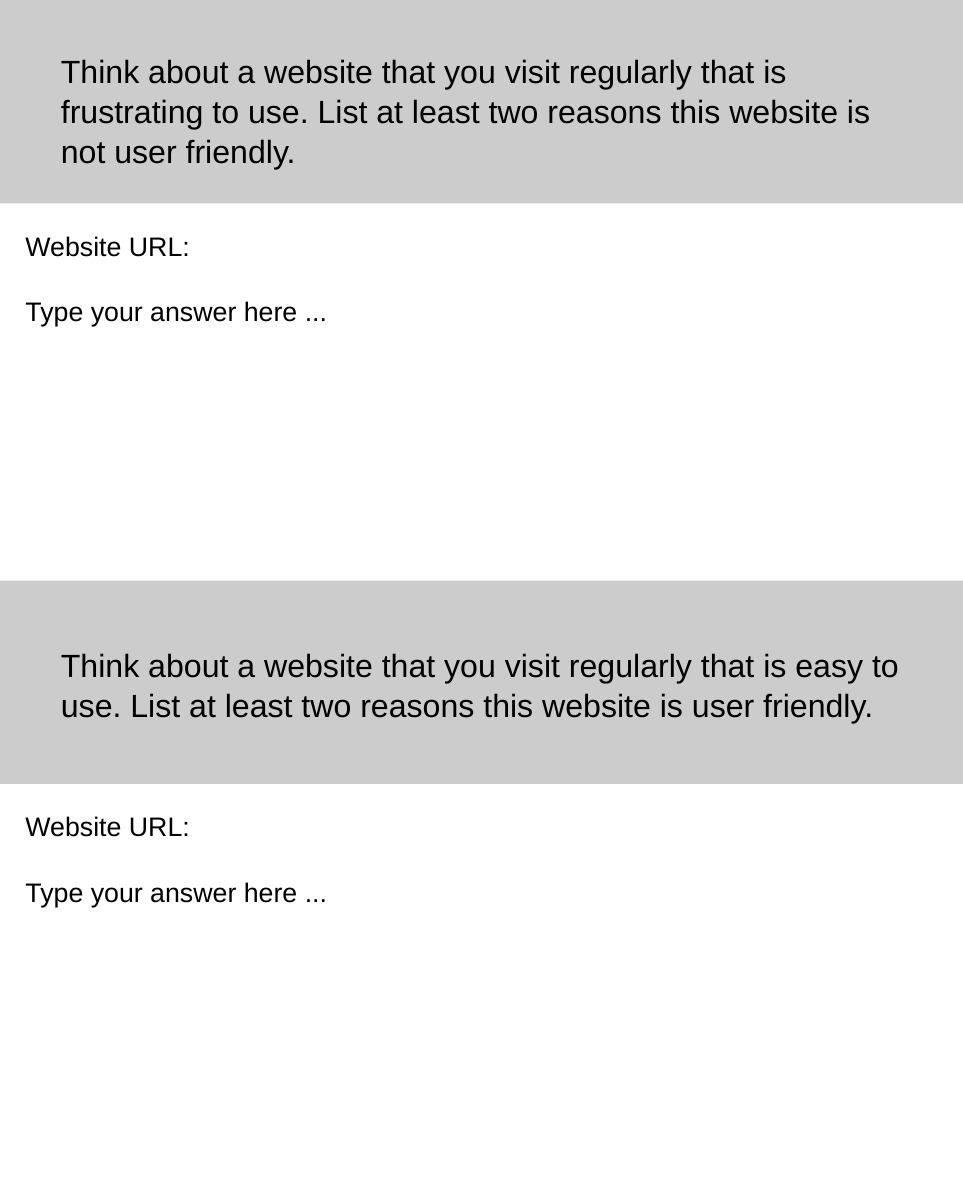
import pptx
import pptx.util
import pptx.dml.color
import pptx.enum.shapes
import pptx.enum.text
from dataclasses import dataclass
from lxml import etree

PX = 9525  # EMU in one px, 96 px to the inch
SLIDE_W, SLIDE_H = 1440, 1800
BAND_H = 304
SECTION_STEP = 868
ANSWER_OFFSET = 331
COMPARISON_LAYOUT = 4


@dataclass(frozen=True)
class Theme:
    font: str = "Arial"
    text: str = "000000"
    band: str = "CCCCCC"
    prompt_size: int = 36
    answer_size: int = 30
    answer_gap: int = 36
    line_spacing: float = 1.04
    inset: int = 10


THEME = Theme()

ANSWER = ["Website URL:", "Type your answer here ..."]

# Prompt, its offset and height in the section, and the placeholders used
SECTIONS = [
    ("Think about a website that you visit regularly that is frustrating to use. "
     "List at least two reasons this website is not user friendly.", 65, 239, 0, 2),
    ("Think about a website that you visit regularly that is easy to use. "
     "List at least two reasons this website is user friendly.", 85, 220, 3, 4),
]


def px(n):
    return pptx.util.Emu(n * PX)


def color(value):
    return pptx.dml.color.RGBColor.from_string(value)


def set_all(obj, values):
    for name, value in values.items():
        setattr(obj, name, value)


def place(sp, left, top, width, height):
    set_all(sp, {"left": px(left), "top": px(top),
                 "width": px(width), "height": px(height)})


def add_band(s, top):
    """Full-width band behind the placeholders."""
    sp = s.shapes.add_shape(pptx.enum.shapes.MSO_SHAPE.RECTANGLE,
                            0, px(top), px(SLIDE_W), px(BAND_H))
    sp.shadow.inherit = False
    sp.fill.solid()
    sp.fill.fore_color.rgb = color(THEME.band)
    sp.line.fill.background()
    s.shapes.title._element.addprevious(sp._element)


def remove_bullet(p):
    ppr = p._p.get_or_add_pPr()
    ppr.set("marL", "0")
    ppr.set("indent", "0")
    etree.SubElement(ppr, pptx.oxml.ns.qn("a:buNone"))


def fill_text(sp, lines, size, gap=0):
    """Write plain, left-aligned paragraphs from the top of a placeholder."""
    tf = sp.text_frame
    tf.text = "\n".join(lines)
    inset = px(THEME.inset)
    set_all(tf, {"word_wrap": True,
                 "auto_size": pptx.enum.text.MSO_AUTO_SIZE.NONE,
                 "vertical_anchor": pptx.enum.text.MSO_ANCHOR.TOP,
                 "margin_left": inset, "margin_right": inset,
                 "margin_top": inset, "margin_bottom": inset})
    for i, p in enumerate(tf.paragraphs):
        remove_bullet(p)
        set_all(p, {"alignment": pptx.enum.text.PP_ALIGN.LEFT,
                    "line_spacing": THEME.line_spacing,
                    "space_before": pptx.util.Pt(gap if i else 0),
                    "space_after": pptx.util.Pt(0)})
        for r in p.runs:
            set_all(r.font, {"name": THEME.font, "bold": False,
                             "size": pptx.util.Pt(size)})
            r.font.color.rgb = color(THEME.text)


def add_section(s, holders, top, section):
    prompt, offset, height, prompt_idx, answer_idx = section
    add_band(s, top)
    # Prompt on the band
    sp = holders[prompt_idx]
    place(sp, 81, top + offset, 1288, height)
    fill_text(sp, [prompt], THEME.prompt_size)
    # Answer area below it
    sp = holders[answer_idx]
    place(sp, 28, top + ANSWER_OFFSET, 1375, 528)
    fill_text(sp, ANSWER, THEME.answer_size, THEME.answer_gap)


def main():
    prs = pptx.Presentation()
    set_all(prs, {"slide_width": px(SLIDE_W), "slide_height": px(SLIDE_H)})
    s = prs.slides.add_slide(prs.slide_layouts[COMPARISON_LAYOUT])
    holders = {sp.placeholder_format.idx: sp for sp in s.placeholders}

    for i, section in enumerate(SECTIONS):
        add_section(s, holders, i * SECTION_STEP, section)

    # Remove the placeholder that stays empty
    unused = holders[1]._element
    unused.getparent().remove(unused)
    prs.save("out.pptx")


if __name__ == "__main__":
    main()
